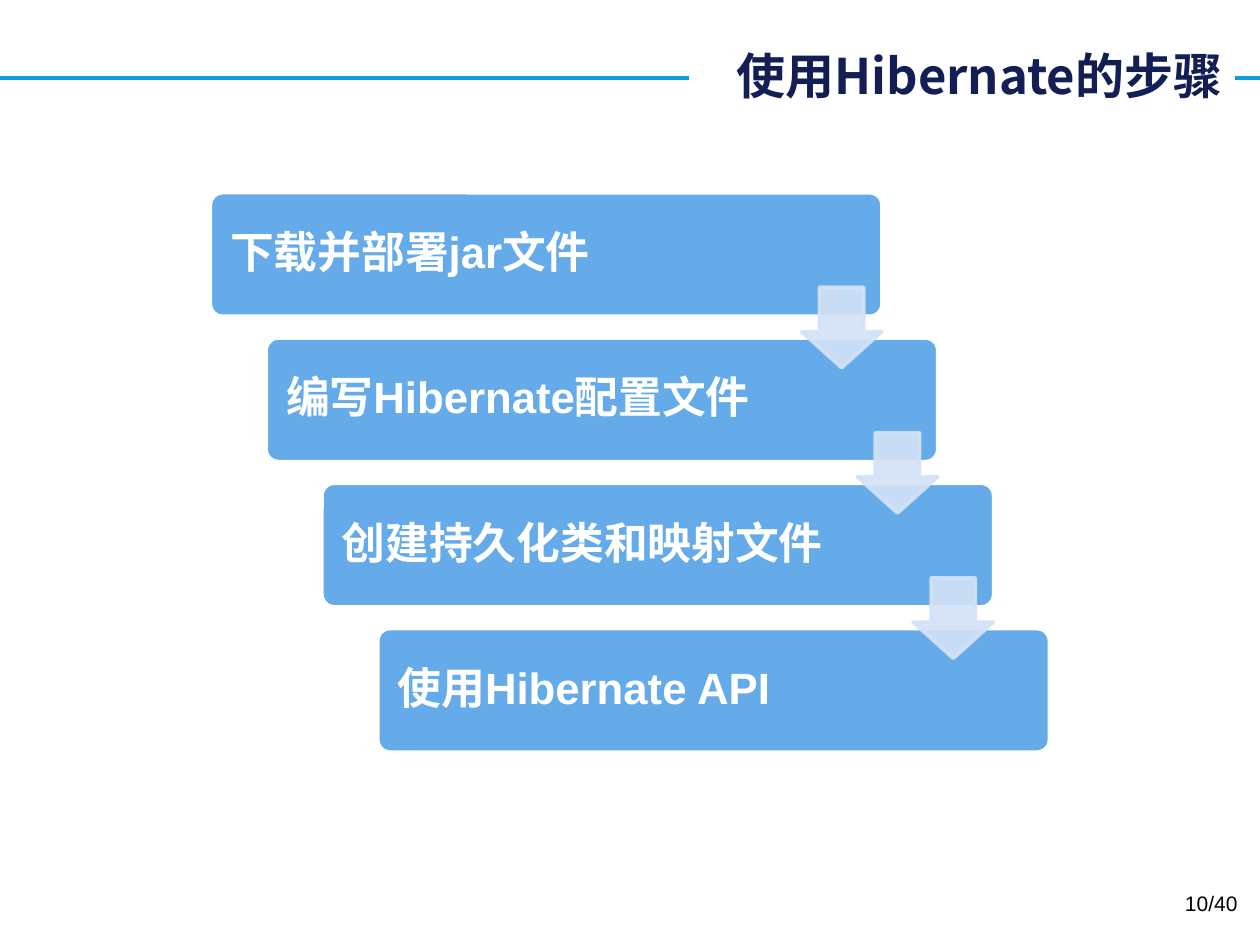
from lxml import etree
from pptx import Presentation
from pptx.dml.color import RGBColor as RGB
from pptx.enum.shapes import MSO_CONNECTOR as LINK, MSO_SHAPE as SHAPE
from pptx.enum.text import MSO_ANCHOR as ANCHOR, PP_ALIGN as ALIGN
from pptx.oxml.ns import qn
from pptx.util import Inches, Pt

HUES = {"rule": "0E9CDE", "title": "121E54", "step": "65AAE9",
        "arrow": "D3E2F7", "white": "FFFFFF", "black": "000000"}
CJK = "Noto Sans CJK SC"


def write(frame, text, size, hue, face, bold=False, align=ALIGN.LEFT):
    frame.text = text
    para = frame.paragraphs[0]
    para.alignment = align
    font = para.runs[0].font
    font.size, font.bold, font.name = Pt(size), bold, face
    font.color.rgb = RGB.from_string(HUES[hue])
    etree.SubElement(para.runs[0]._r.rPr, qn("a:ea"), typeface=CJK)
    return para


def paint(shape, fill, edge):
    shape.shadow.inherit = False
    shape.fill.solid()
    shape.fill.fore_color.rgb = RGB.from_string(HUES[fill])
    shape.line.color.rgb = RGB.from_string(HUES[edge])
    shape.line.width = Pt(2)


deck = Presentation()
deck.slide_width, deck.slide_height = Inches(10), Inches(7.5)
slide = deck.slides.add_slide(deck.slide_layouts[5])
shapes = slide.shapes

# Rule behind the title
rule = shapes.add_connector(LINK.STRAIGHT, 0, Inches(0.62), Inches(10), Inches(0.62))
rule.line.color.rgb = RGB.from_string(HUES["rule"])
rule.line.width = Pt(2.25)
etree.SubElement(rule._element.spPr, qn("a:effectLst"))
shapes._spTree.insert(2, rule._element)

# Title
title = shapes.title
title.left, title.top = Inches(5.47), Inches(0.31)
title.width, title.height = Inches(4.33), Inches(0.57)
title.fill.solid()
title.fill.fore_color.rgb = RGB.from_string(HUES["white"])
title.text_frame.vertical_anchor = ANCHOR.MIDDLE
write(title.text_frame, "使用Hibernate的步骤", 28, "title", CJK, True, ALIGN.RIGHT)

# Staircase of steps
steps = ["下载并部署jar文件", "编写Hibernate配置文件",
         "创建持久化类和映射文件", "使用Hibernate API"]
left, top, dx, dy = 1.67, 1.53, 0.443, 1.153
for i, text in enumerate(steps):
    box = shapes.add_shape(SHAPE.ROUNDED_RECTANGLE, Inches(left + i * dx),
                           Inches(top + i * dy), Inches(5.33), Inches(0.98))
    box.adjustments[0] = 0.1
    paint(box, "step", "white")
    frame = box.text_frame
    frame.word_wrap = True
    frame.vertical_anchor = ANCHOR.MIDDLE
    frame.margin_left, frame.margin_right = Inches(0.13), Inches(1.2)
    para = write(frame, text, 25, "white", "Arial", True)
    para.line_spacing = 0.9

# Arrows from each step to the next
for i in range(len(steps) - 1):
    arrow = shapes.add_shape(SHAPE.DOWN_ARROW, Inches(left + 4.69 + i * dx),
                             Inches(top + 0.75 + i * dy), Inches(0.64), Inches(0.64))
    arrow.adjustments[0], arrow.adjustments[1] = 0.55, 0.45
    paint(arrow, "arrow", "arrow")
    for hue in arrow._element.spPr.iter(qn("a:srgbClr")):
        etree.SubElement(hue, qn("a:alpha"), val="90000")

# Page number
page = shapes.add_textbox(Inches(7.59), Inches(7.02), Inches(2.33), Inches(0.4))
page.text_frame.word_wrap = True
write(page.text_frame, "10/40", 12, "black", "Arial", align=ALIGN.RIGHT)

deck.save("out.pptx")
